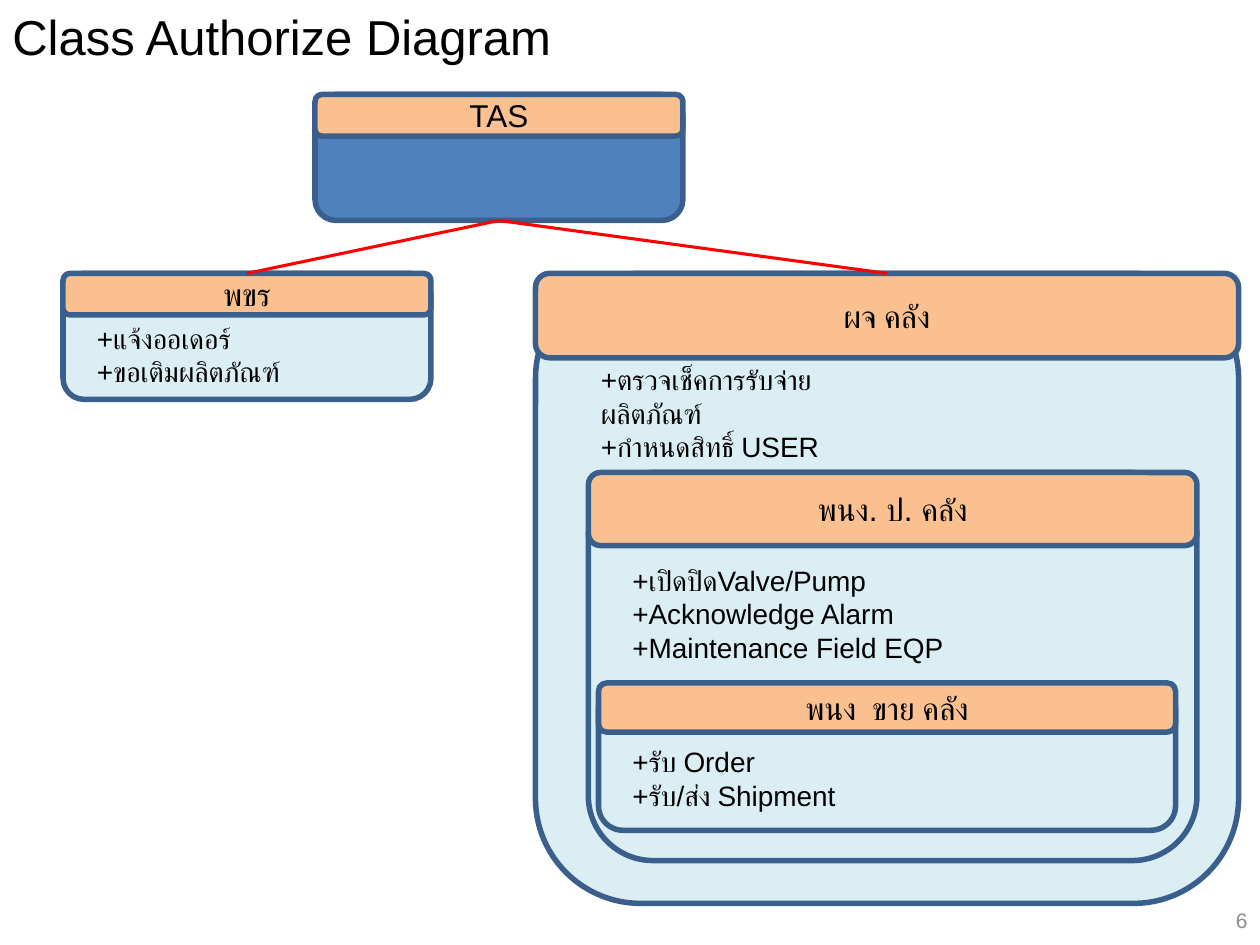
from pptx import Presentation
from pptx.util import Inches, Pt
from pptx.dml.color import RGBColor
from pptx.enum import shapes, text
from pptx.oxml.ns import qn

COLORS = {"tas": "4F81BD", "body": "DBEEF4", "header": "FAC090", "border": "3A5F8C",
          "link": "FF0000", "ink": "000000", "number": "8C8C8C"}
COLORS = {role: RGBColor.from_string(value) for role, value in COLORS.items()}

deck = Presentation()
deck.slide_width, deck.slide_height = Inches(10), Inches(7.5)
slide = deck.slides.add_slide(deck.slide_layouts[6])


def write(frame, words, size, color="ink", align="LEFT", anchor="TOP", wrap=True):
    layout = {"text": words, "word_wrap": wrap,
              "vertical_anchor": getattr(text.MSO_ANCHOR, anchor)}
    for name, value in layout.items():
        setattr(frame, name, value)
    for paragraph in frame.paragraphs:
        paragraph.alignment = getattr(text.PP_ALIGN, align)
        for run in paragraph.runs:
            for name, value in {"name": "Arial", "size": Pt(size)}.items():
                setattr(run.font, name, value)
            run.font.color.rgb = COLORS[color]


def add_panel(left, top, width, height, fill):
    panel = slide.shapes.add_shape(shapes.MSO_SHAPE.ROUNDED_RECTANGLE,
                                   *map(Inches, (left, top, width, height)))
    panel.shadow.inherit = False
    panel.fill.solid()
    panel.fill.fore_color.rgb = COLORS[fill]
    panel.line.color.rgb = COLORS["border"]
    panel.line.width = Pt(3.15)
    return panel


number = slide.shapes.add_textbox(*map(Inches, (7.67, 7.1, 2.33, 0.4)))
write(number.text_frame, "6", 12, "number", "RIGHT", "MIDDLE")
title = slide.shapes.add_textbox(*map(Inches, (0, 0, 4.53, 0.57)))
write(title.text_frame, "Class Authorize Diagram", 28, wrap=False)

classes = [
    ("TAS", (2.5, 0.75, 2.92, 1), 0.33, "tas", None, None),
    ("ผจ คลัง", (4.25, 2.17, 5.58, 5), 0.67, "body", (4.67, 2.83, 2.5, 0.91),
     "+ตรวจเช็คการรับจ่าย ผลิตภัณฑ์\v+กำหนดสิทธิ์ USER"),
    ("พขร", (0.5, 2.17, 2.92, 1), 0.33, "body", (0.67, 2.5, 2.5, 0.64),
     "+แจ้งออเดอร์\v+ขอเติมผลิตภัณฑ์"),
    ("พนง. ป. คลัง", (4.67, 3.75, 4.83, 3.08), 0.58, "body", (4.92, 4.42, 2.75, 0.91),
     "+เปิดปิดValve/Pump\v+Acknowledge Alarm\n+Maintenance Field EQP"),
    ("พนง  ขาย คลัง", (4.75, 5.42, 4.58, 1.17), 0.39, "body", (4.92, 5.86, 3.93, 0.64),
     "+รับ Order\v+รับ/ส่ง Shipment"),
]
headers = {}
for role, (left, top, width, height), header_height, fill, rights_box, rights in classes:
    body = add_panel(left, top, width, height, fill)
    header = add_panel(left, top, width, header_height, "header")
    write(header.text_frame, role, 18, align="CENTER", anchor="MIDDLE")
    headers[role] = body, header
    if rights:
        rights_text = slide.shapes.add_textbox(*map(Inches, rights_box))
        write(rights_text.text_frame, rights, 16)

for role in ("พขร", "ผจ คลัง"):
    link = slide.shapes.add_connector(shapes.MSO_CONNECTOR.STRAIGHT, 0, 0, 0, 0)
    link.begin_connect(headers["TAS"][0], 2)
    link.end_connect(headers[role][1], 0)
    link.line.color.rgb = COLORS["link"]
    link.line.width = Pt(1.75)
    properties = link._element.spPr
    properties.append(properties.makeelement(qn("a:effectLst"), {}))

deck.save("out.pptx")
